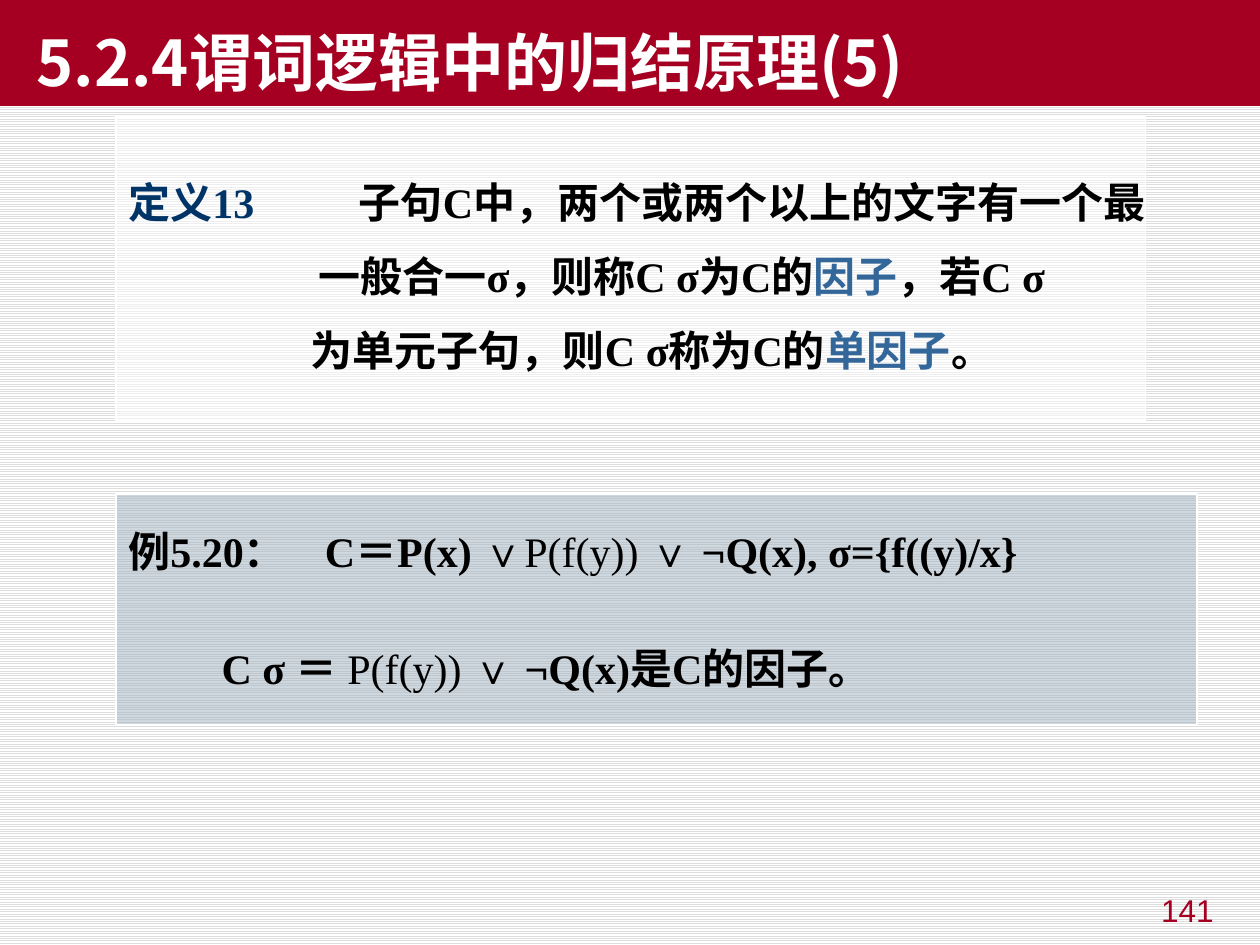
from lxml.etree import SubElement
from pptx import Presentation
from pptx.dml.color import RGBColor
from pptx.enum.dml import MSO_PATTERN as Pattern
from pptx.enum.shapes import MSO_SHAPE as Shape
from pptx.enum.text import MSO_ANCHOR as Anchor, MSO_AUTO_SIZE as AutoSize, PP_ALIGN as Align
from pptx.oxml.ns import qn
from pptx.util import Inches, Pt

RED, WHITE, BLACK, NAVY, BLUE = "A50021", "FFFFFF", "000000", "003366", "336699"
SERIF = dict(name="Times New Roman", size=Pt(24), bold=True)


def color(value):
    return RGBColor.from_string(value)


def assign(target, **values):
    for name, value in values.items():
        setattr(target, name, value)


def place(box, left, top, width, height):
    assign(box, left=Inches(left), top=Inches(top), width=Inches(width), height=Inches(height))


def add_span(para, text, ink, **font):
    span = para.add_run()
    span.text = text
    assign(span.font, **font)
    span.font.color.rgb = color(ink)
    return span


def set_indent(para, inches):
    para._p.get_or_add_pPr().set("marL", str(Inches(inches)))


def set_tab(para, inches):
    tabs = SubElement(para._p.get_or_add_pPr(), qn("a:tabLst"))
    SubElement(tabs, qn("a:tab"), pos=str(Inches(inches)), algn="l")


def set_background(page):
    fill = page.background.fill
    fill.patterned()
    fill.pattern = Pattern.LIGHT_HORIZONTAL
    fill.fore_color.rgb = color("DDDDDD")
    fill.back_color.rgb = color(WHITE)


def add_title(page, text):
    box = page.shapes.title
    place(box, 0, 0, 10, 0.84)
    box.fill.solid()
    box.fill.fore_color.rgb = color(RED)
    frame = box.text_frame
    assign(frame, vertical_anchor=Anchor.BOTTOM, auto_size=AutoSize.NONE, word_wrap=True)
    para = frame.paragraphs[0]
    para.alignment = Align.LEFT
    set_indent(para, 0.19)
    span = add_span(para, text, WHITE, name="Noto Sans CJK SC", size=Pt(36), bold=True)
    SubElement(span.font._element, qn("a:ea"), typeface="Noto Sans CJK SC")


def add_page_number(page, text):
    box = page.shapes.add_textbox(Inches(7.4), Inches(7.02), Inches(2.33), Inches(0.52))
    box.text_frame.word_wrap = True
    para = box.text_frame.paragraphs[0]
    para.alignment = Align.RIGHT
    add_span(para, text, RED, name="Arial", size=Pt(18))


def add_panel(page, bounds, tint, lines, **spacing):
    box = page.shapes.add_shape(Shape.RECTANGLE, *map(Inches, bounds))
    box.shadow.inherit = False
    box.fill.solid()
    box.fill.fore_color.rgb = color(tint)
    tint_node = box.fill._xPr.find(qn("a:solidFill"))[0]
    SubElement(tint_node, qn("a:alpha"), val="50000")
    box.line.color.rgb = color(WHITE)
    box.line.width = Pt(0.75)
    frame = box.text_frame
    assign(frame, vertical_anchor=Anchor.MIDDLE, word_wrap=False)
    for index, (offset, spans) in enumerate(lines):
        para = frame.add_paragraph() if index else frame.paragraphs[0]
        assign(para, alignment=Align.LEFT, **spacing)
        if "\t" in spans[0][0]:
            set_tab(para, offset)
        else:
            set_indent(para, offset)
        for text, ink, bold in spans:
            add_span(para, text, ink, **{**SERIF, "bold": bold})


def main():
    deck = Presentation()
    assign(deck, slide_width=Inches(10), slide_height=Inches(7.5))
    page = deck.slides.add_slide(deck.slide_layouts[5])
    set_background(page)
    add_title(page, "5.2.4谓词逻辑中的归结原理(5)")
    add_page_number(page, "141")

    example = [
        (1.56, [("例5.20：\tC＝P(x) ", BLACK, True), ("∨P(f(y)) ∨ ", BLACK, False),
                ("¬Q(x), σ={f((y)/x}", BLACK, True)]),
        (0.74, [("C σ ＝ ", BLACK, True), ("P(f(y)) ∨ ", BLACK, False),
                ("¬Q(x)是C的因子。", BLACK, True)]),
    ]
    add_panel(page, (0.92, 3.92, 8.58, 1.83), "A3B2C1", example, space_before=Pt(38))

    definition = [
        (1.83, [("定义13\t", NAVY, True),
                ("子句C中，两个或两个以上的文字有一个最", BLACK, True)]),
        (1.51, [("一般合一σ，则称C σ为C的", BLACK, True), ("因子", BLUE, True),
                ("，若C σ", BLACK, True)]),
        (1.45, [("为单元子句，则C σ称为C的", BLACK, True), ("单因子", BLUE, True),
                ("。", BLACK, True)]),
    ]
    add_panel(page, (0.92, 0.92, 8.17, 2.42), WHITE, definition,
              line_spacing=1.3, space_before=Pt(4.8))
    deck.save("out.pptx")


if __name__ == "__main__":
    main()
